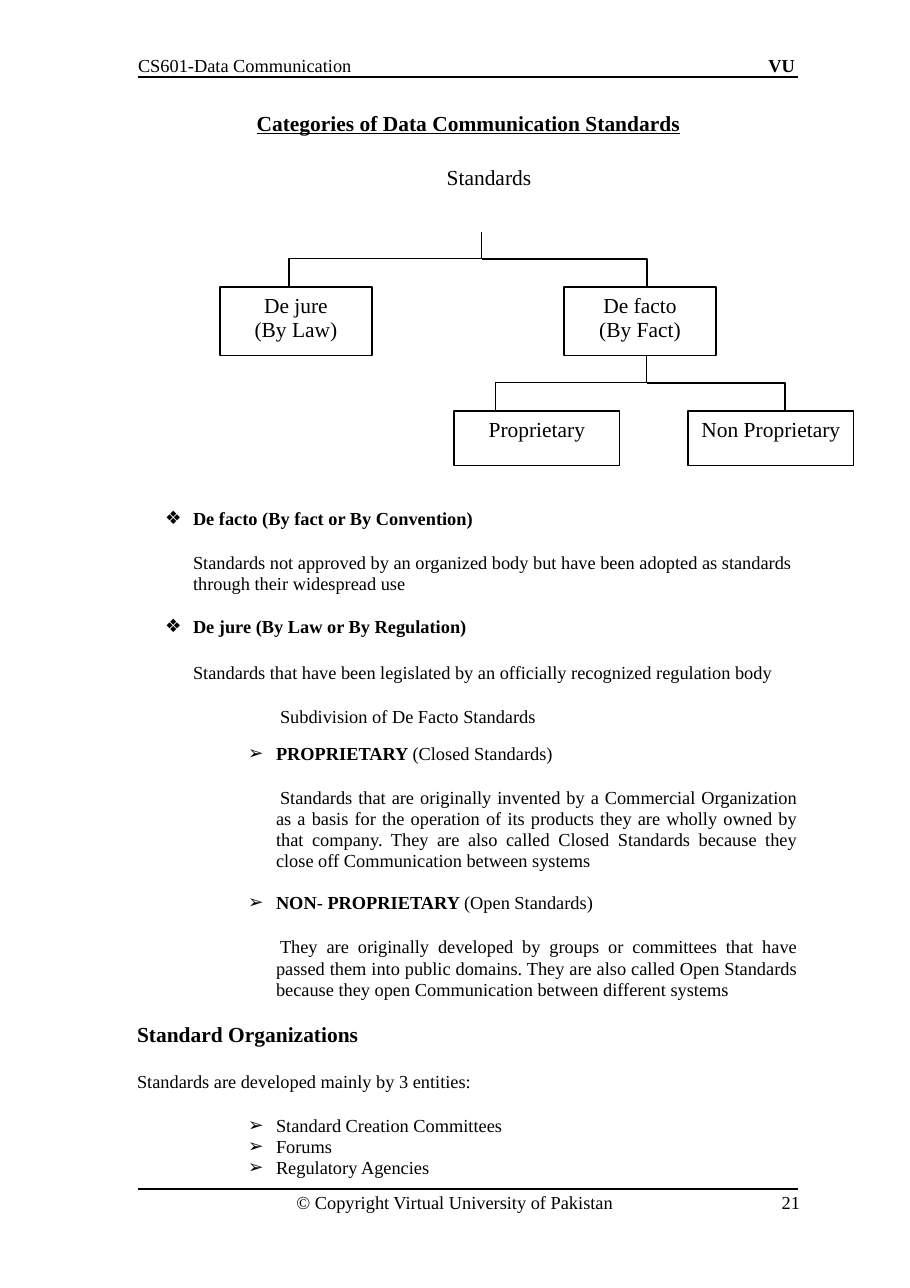
from lxml.etree import SubElement
from pptx import Presentation
from pptx.dml.color import RGBColor
from pptx.enum.shapes import MSO_CONNECTOR, MSO_SHAPE
from pptx.enum.text import MSO_ANCHOR, MSO_AUTO_SIZE, PP_ALIGN
from pptx.oxml.ns import qn
from pptx.util import Emu, Pt

PX_PER_INCH = 110.2
FONT = "Times New Roman"
BLACK = "000000"
LEFT, CENTER, RIGHT = PP_ALIGN.LEFT, PP_ALIGN.CENTER, PP_ALIGN.RIGHT
DIAMOND, ARROW = "❖", "➢"

# Left indents of the body text, in px
SECTION, SUBSECTION = 56, 139
HANGING = -28

# Paragraph styles of the body text
STYLES = {
    "section": {"indent": SECTION, "first": HANGING, "bullet": DIAMOND},
    "section_text": {"indent": SECTION},
    "lead_in": {"indent": SUBSECTION, "first": 4},
    "subsection": {"indent": SUBSECTION, "first": HANGING, "bullet": ARROW, "level": 1},
    "subsection_text": {"indent": SUBSECTION, "first": 4, "align": PP_ALIGN.JUSTIFY},
    "heading": {"size": 14, "spacing": 16.1},
    "text": {},
}

# Style, space before in px, runs as (text, bold)
BODY = [
    ("section", 0, [("De facto (By fact or By Convention)", True)]),
    ("section_text", 23, [("Standards not approved by an organized body but have been "
                           "adopted as standards through their widespread use", False)]),
    ("section", 22, [("De jure (By Law or By Regulation)", True)]),
    ("section_text", 25, [("Standards that have been legislated by an officially "
                           "recognized regulation body", False)]),
    ("lead_in", 22, [("Subdivision of De Facto Standards", False)]),
    ("subsection", 16, [("PROPRIETARY ", True), ("(Closed Standards)", False)]),
    ("subsection_text", 23, [("Standards that are originally invented by a Commercial "
                              "Organization as a basis for the operation of its products "
                              "they are wholly owned by that company. They are also called "
                              "Closed Standards because they close off Communication "
                              "between systems", False)]),
    ("subsection", 21, [("NON", True), ("- ", False), ("PROPRIETARY ", True),
                        ("(Open Standards)", False)]),
    ("subsection_text", 23, [("They are originally developed by groups or committees that "
                              "have passed them into public domains. They are also called "
                              "Open Standards because they open Communication between "
                              "different systems", False)]),
    ("heading", 22, [("Standard Organizations", True)]),
    ("text", 25, [("Standards are developed mainly by 3 entities:", False)]),
    ("subsection", 22, [("Standard Creation Committees", False)]),
    ("subsection", 0, [("Forums", False)]),
    ("subsection", 0, [("Regulatory Agencies", False)]),
]

# Page furniture and diagram root: text, left, top, width, size, bold, alignment
LABELS = [
    ("CS601-Data Communication", 138, 54, 300, 12, False, LEFT),
    ("VU", 715, 54, 80, 12, True, RIGHT),
    ("Standards", 419, 164, 140, 14, False, CENTER),
    ("© Copyright Virtual University of Pakistan", 255, 1191, 400, 12, False, CENTER),
    ("21", 740, 1191, 60, 12, False, RIGHT),
]

# Diagram boxes: text, left, top, width, height
BOXES = [
    ("De jure\v(By Law)", 220, 287, 152, 69),
    ("De facto\v(By Fact)", 564, 287, 152, 69),
    ("Proprietary", 454, 411, 166, 55),
    ("Non Proprietary", 688, 411, 166, 55),
]

# Diagram branches as corner points
BRANCHES = [
    [(482, 232), (482, 259), (289, 259), (289, 287)],
    [(482, 259), (647, 259), (647, 287)],
    [(647, 356), (647, 383), (496, 383), (496, 411)],
    [(647, 383), (785, 383), (785, 411)],
]


def px(n):
    return Emu(round(n * 914400 / PX_PER_INCH))


def color(value):
    return RGBColor.from_string(value)


def set_all(target, values):
    for name, value in values.items():
        setattr(target, name, value)


def place(sp, left, top, width, height):
    set_all(sp, {"left": px(left), "top": px(top), "width": px(width), "height": px(height)})


def set_font(font, size, bold=False, underline=False):
    set_all(font, {"name": FONT, "size": Pt(size), "bold": bold, "underline": underline})
    font.color.rgb = color(BLACK)


def set_frame(tf, top=0):
    set_all(tf, {"margin_left": 0, "margin_right": 0, "margin_top": px(top),
                 "margin_bottom": 0, "word_wrap": True,
                 "auto_size": MSO_AUTO_SIZE.NONE, "vertical_anchor": MSO_ANCHOR.TOP})


def set_text(tf, text, size, bold=False, align=LEFT, underline=False):
    p = tf.paragraphs[0]
    p.text = text
    set_all(p, {"alignment": align, "space_before": Pt(0)})
    for r in p.runs:
        set_font(r.font, size, bold, underline)
    return p


def set_line(sp):
    sp.line.color.rgb = color(BLACK)
    sp.line.width = Pt(0.75)


def add_label(s, text, left, top, width, size, bold, align):
    sp = s.shapes.add_textbox(px(left), px(top), px(width), px(25))
    set_frame(sp.text_frame)
    set_text(sp.text_frame, text, size, bold, align)


def add_box(s, text, left, top, width, height):
    sp = s.shapes.add_shape(MSO_SHAPE.RECTANGLE, px(left), px(top), px(width), px(height))
    sp.shadow.inherit = False
    sp.fill.background()
    set_line(sp)
    set_frame(sp.text_frame, top=6)
    p = set_text(sp.text_frame, text, 14, align=CENTER)
    p.line_spacing = Pt(16.1)


def add_branch(s, points):
    corners = [(px(x), px(y)) for x, y in points]
    builder = s.shapes.build_freeform(*corners[0])
    builder.add_line_segments(corners[1:], close=False)
    sp = builder.convert_to_shape()
    sp.shadow.inherit = False
    sp.fill.background()
    set_line(sp)


def add_rule(s, y):
    sp = s.shapes.add_connector(MSO_CONNECTOR.STRAIGHT, px(138), px(y), px(798), px(y))
    set_line(sp)
    SubElement(sp._element.spPr, qn("a:effectLst"))


def add_paragraph(p, before, runs, indent=0, first=0, bullet=None, level=0,
                  align=LEFT, size=12, spacing=13.8):
    pPr = p._p.get_or_add_pPr()
    pPr.set("marL", str(px(indent)))
    pPr.set("indent", str(px(first)))
    if bullet:
        SubElement(pPr, qn("a:buChar"), char=bullet)
    else:
        SubElement(pPr, qn("a:buNone"))
    set_all(p, {"level": level, "alignment": align, "line_spacing": Pt(spacing),
                "space_before": px(before), "space_after": Pt(0)})
    for text, bold in runs:
        r = p.add_run()
        r.text = text
        set_font(r.font, size, bold)


def fill_body(sp):
    place(sp, 137, 508, 661, 670)
    tf = sp.text_frame
    set_frame(tf)
    for i, (style, before, runs) in enumerate(BODY):
        p = tf.add_paragraph() if i else tf.paragraphs[0]
        add_paragraph(p, before, runs, **STYLES[style])


def main():
    prs = Presentation()
    set_all(prs, {"slide_width": px(910), "slide_height": px(1288)})
    s = prs.slides.add_slide(prs.slide_layouts[1])

    # Title
    title = s.shapes.title
    place(title, 238, 110, 461, 27)
    set_frame(title.text_frame)
    set_text(title.text_frame, "Categories of Data Communication Standards", 14,
             bold=True, align=CENTER, underline=True)

    # Header, footer and diagram root
    for label in LABELS:
        add_label(s, *label)
    for y in (77, 1189):
        add_rule(s, y)

    # Tree of standards
    for box in BOXES:
        add_box(s, *box)
    for points in BRANCHES:
        add_branch(s, points)

    # Body text
    fill_body(s.placeholders[1])
    prs.save("out.pptx")


if __name__ == "__main__":
    main()
